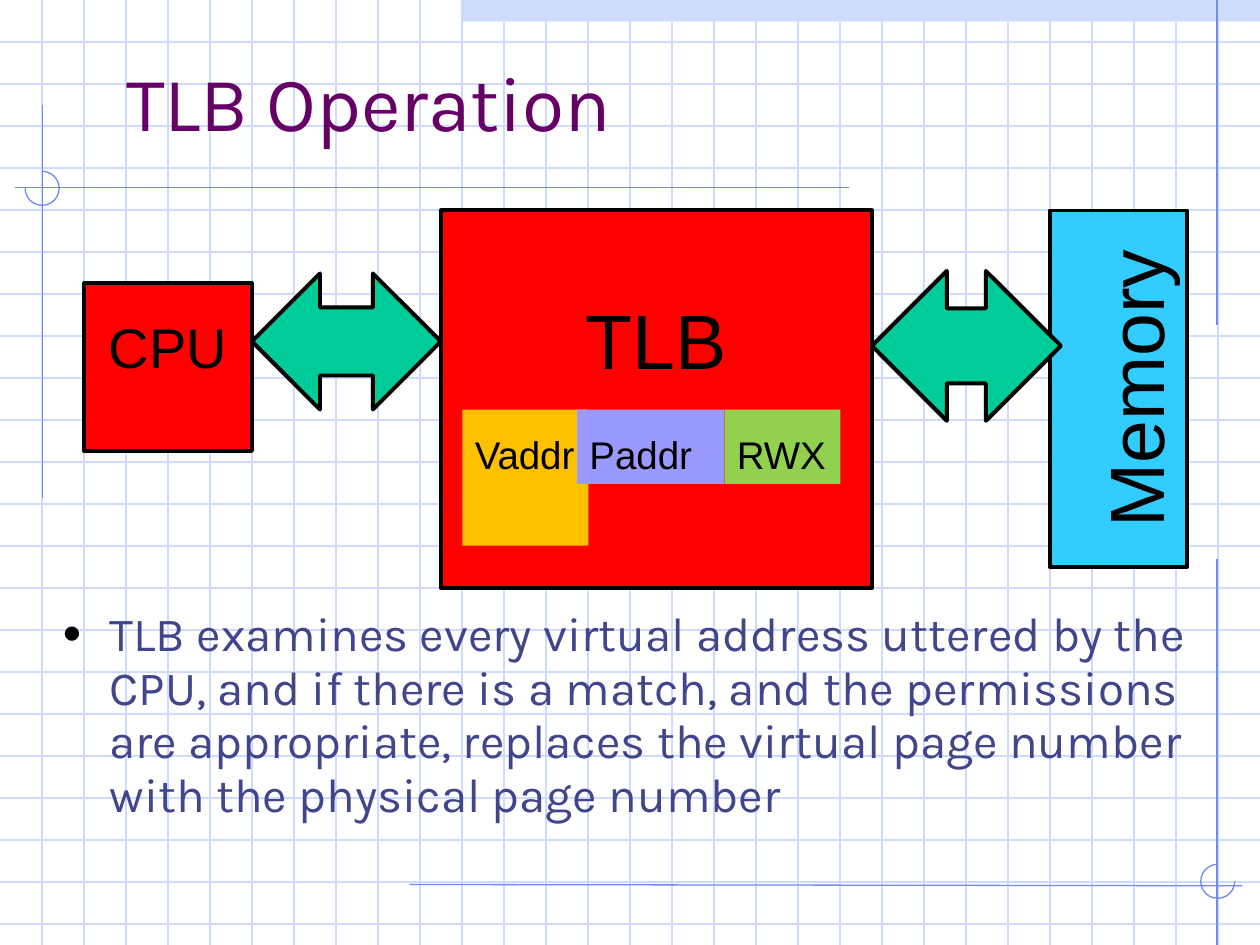
"""Build the TLB Operation slide: a block diagram on a graph-paper background."""
from lxml import etree
from pptx import Presentation
from pptx.dml.color import RGBColor
from pptx.enum.shapes import MSO_CONNECTOR, MSO_SHAPE
from pptx.enum.text import MSO_ANCHOR, PP_ALIGN
from pptx.oxml.ns import qn
from pptx.util import Inches, Pt

STRAIGHT = MSO_CONNECTOR.STRAIGHT
RECTANGLE, ARC, DOUBLE_ARROW = MSO_SHAPE.RECTANGLE, MSO_SHAPE.ARC, MSO_SHAPE.LEFT_RIGHT_ARROW
TOP, MIDDLE = MSO_ANCHOR.TOP, MSO_ANCHOR.MIDDLE
LEFT, CENTER = PP_ALIGN.LEFT, PP_ALIGN.CENTER

BLACK = RGBColor(0x00, 0x00, 0x00)
GRID_BLUE = RGBColor(0xCF, 0xDB, 0xFD)
RULE_BLUE = RGBColor(0x6F, 0x89, 0xF7)
PURPLE = RGBColor(0x66, 0x00, 0x66)
INDIGO = RGBColor(0x40, 0x45, 0x8C)
RED = RGBColor(0xFF, 0x00, 0x00)
SKY = RGBColor(0x33, 0xCC, 0xFF)
GREEN = RGBColor(0x00, 0xCC, 0x99)
AMBER = RGBColor(0xFF, 0xC0, 0x00)
LILAC = RGBColor(0x99, 0x99, 0xFF)
LIME = RGBColor(0x92, 0xD0, 0x50)

presentation = Presentation()
presentation.slide_width = Inches(10)
presentation.slide_height = Inches(7.5)
slide = presentation.slides.add_slide(presentation.slide_layouts[5])


def add_shape(kind, box, fill=None, line=None, line_width=2.25):
    shape = slide.shapes.add_shape(kind, *[Inches(value) for value in box])
    shape.shadow.inherit = False
    if fill is None:
        shape.fill.background()
    else:
        shape.fill.solid()
        shape.fill.fore_color.rgb = fill
    if line is None:
        shape.line.fill.background()
    else:
        shape.line.color.rgb = line
        shape.line.width = Pt(line_width)
    return shape


def write_text(shape, text, font, size, color, spacing, align=LEFT, anchor=TOP):
    frame = shape.text_frame
    frame.word_wrap = True
    frame.vertical_anchor = anchor
    paragraph = frame.paragraphs[0]
    paragraph.alignment = align
    paragraph.line_spacing = spacing
    run = paragraph.add_run()
    run.text = text
    run.font.name = font
    run.font.size = Pt(size)
    run.font.color.rgb = color
    return paragraph


add_shape(RECTANGLE, (3.66, 0, 6.34, 0.17), GRID_BLUE)

lines = [(0, row / 3, 10, row / 3, GRID_BLUE) for row in range(1, 23)]
lines += [(column / 3, 0, column / 3, 7.5, GRID_BLUE) for column in range(1, 30)]
lines += [
    (9.66, 0, 9.66, 2.58, RULE_BLUE),
    (0.34, 0.83, 0.34, 3.95, RULE_BLUE),
    (6.74, 1.49, 0.12, 1.49, RULE_BLUE),
    (3.25, 7.02, 9.86, 7.03, RULE_BLUE),
    (9.66, 4.44, 9.66, 7.5, RULE_BLUE),
]
for *ends, color in lines:
    connector = slide.shapes.add_connector(STRAIGHT, *[Inches(value) for value in ends])
    connector.line.color.rgb = color
    connector.line.width = Pt(0.75)
    etree.SubElement(connector.element.spPr, qn("a:effectLst"))

for left, top, start, end in [(0.2, 1.36, 270, 180), (9.53, 6.86, 0, 270)]:
    arc = add_shape(ARC, (left, top, 0.27, 0.27), line=RULE_BLUE, line_width=0.75)
    arc.adjustments[0] = start * 0.6
    arc.adjustments[1] = end * 0.6

title = slide.shapes.title
title.left, title.top, title.width, title.height = Inches(1), 0, Inches(8.5), Inches(1.57)
write_text(title, "TLB Operation", "Karla", 44, PURPLE, 1.04, anchor=MIDDLE)
title.element.getparent().append(title.element)

body = slide.shapes.add_textbox(Inches(0.5), Inches(4.83), Inches(9), Inches(1.86))
paragraph = write_text(
    body,
    "TLB examines every virtual address uttered by the CPU, and if there is a match, "
    "and the permissions are appropriate, replaces the virtual page number with the "
    "physical page number",
    "Karla", 27.2, INDIGO, 0.94,
)
paragraph.space_before = Pt(8)
properties = paragraph.runs[0].font and paragraph._p.get_or_add_pPr()
properties.set("marL", str(Inches(0.37)))
properties.set("indent", str(-Inches(0.37)))
bullet_color = etree.SubElement(properties, qn("a:buClr"))
etree.SubElement(bullet_color, qn("a:srgbClr"), val=str(BLACK))
etree.SubElement(properties, qn("a:buSzPct"), val="110000")
etree.SubElement(properties, qn("a:buFont"), typeface="Arial")
etree.SubElement(properties, qn("a:buChar"), char="•")

for shape in (title, body):
    frame = shape.text_frame
    frame.margin_left = frame.margin_top = frame.margin_right = frame.margin_bottom = 0

cpu = add_shape(RECTANGLE, (0.67, 2.25, 1.33, 1.33), RED, BLACK)
write_text(cpu, "CPU", "Arial", 32, BLACK, 1.34, CENTER)

memory = add_shape(RECTANGLE, (7.46, 2.54, 2.83, 1.09), SKY, BLACK)
memory.rotation = 270
write_text(memory, "Memory", "Arial", 44, BLACK, 1.34, CENTER)

for box in [(2, 2.17, 1.5, 1.08), (6.92, 2.15, 1.5, 1.19)]:
    add_shape(DOUBLE_ARROW, box, GREEN, BLACK)

tlb = add_shape(RECTANGLE, (3.5, 1.67, 3.42, 3), RED, BLACK)
write_text(tlb, "TLB", "Arial", 44, BLACK, 1.34, CENTER)
tlb.text_frame.margin_top = Inches(0.4)

for text, left, width, height, fill in [
    ("Vaddr", 3.67, 1, 1.08, AMBER),
    ("Paddr", 4.58, 1.17, 0.59, LILAC),
    ("RWX", 5.75, 0.92, 0.59, LIME),
]:
    field = add_shape(RECTANGLE, (left, 3.25, width, height), fill)
    write_text(field, text, "Arial", 22, BLACK, 1.34)
    field.text_frame.margin_right = Inches(0.05)

presentation.save("out.pptx")
